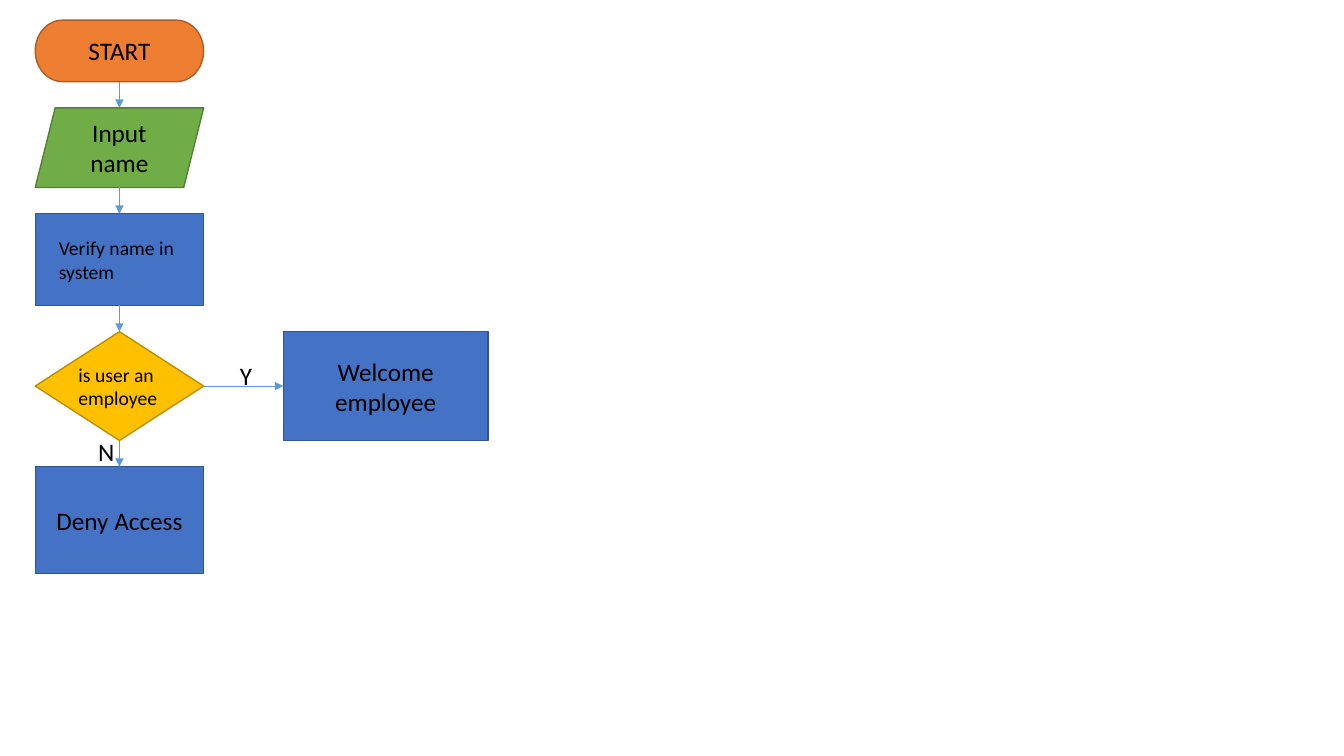
from lxml import etree
from pptx import Presentation
from pptx import util as u
from pptx.dml import color
from pptx.enum import shapes, text
from pptx.oxml import ns

COLORS = {
    "start": "ED7D31", "start_line": "AF5C24",
    "input": "70AD47", "input_line": "538035",
    "process": "4472C4", "process_line": "325491",
    "decision": "FFC000", "decision_line": "BD8E00",
    "arrow": "5B9BD5", "text": "000000",
}
KINDS = {
    "start": shapes.MSO_SHAPE.FLOWCHART_TERMINATOR,
    "input": shapes.MSO_SHAPE.PARALLELOGRAM,
    "process": shapes.MSO_SHAPE.RECTANGLE,
    "decision": shapes.MSO_SHAPE.DIAMOND,
}
LEFT, CENTER = text.PP_ALIGN.LEFT, text.PP_ALIGN.CENTER


class Flowchart:
    """Draws flowchart elements on one slide in a shared style."""

    def __init__(self, s):
        self.s = s
        self.font = {"name": "Calibri", "size": u.Pt(18)}
        self.frame = {"word_wrap": True, "vertical_anchor": text.MSO_ANCHOR.MIDDLE}

    def rgb(self, name):
        return color.RGBColor.from_string(COLORS[name])

    def node(self, kind, x, y, w, h):
        sp = self.s.shapes.add_shape(KINDS[kind], *map(u.Inches, (x, y, w, h)))
        sp.shadow.inherit = False
        sp.fill.solid()
        sp.fill.fore_color.rgb = self.rgb(kind)
        sp.line.color.rgb = self.rgb(kind + "_line")
        sp.line.width = u.Pt(1)

    def label(self, words, cx, cy, w, h, align=CENTER, size=18):
        box = (cx - w / 2, cy - h / 2, w, h)
        tf = self.s.shapes.add_textbox(*map(u.Inches, box)).text_frame
        for key, value in self.frame.items():
            setattr(tf, key, value)
        p = tf.paragraphs[0]
        p.alignment = align
        r = p.add_run()
        r.text = words
        for key, value in {**self.font, "size": u.Pt(size)}.items():
            setattr(r.font, key, value)
        r.font.color.rgb = self.rgb("text")

    def arrow(self, *ends):
        c = self.s.shapes.add_connector(
            shapes.MSO_CONNECTOR.STRAIGHT, *map(u.Inches, ends))
        c.line.color.rgb = self.rgb("arrow")
        c.line.width = u.Pt(0.5)
        etree.SubElement(c.line._get_or_add_ln(), ns.qn("a:tailEnd"), type="triangle")
        etree.SubElement(c._element.spPr, ns.qn("a:effectLst"))


prs = Presentation()
prs.slide_width, prs.slide_height = u.Inches(13.33), u.Inches(7.5)
chart = Flowchart(prs.slides.add_slide(prs.slide_layouts[6]))

left, top, width, gap = 0.35, 0.2, 1.67, 0.26
middle, right = left + width / 2, left + width
steps = [
    ("start", 0.61, "START", 1.4, 0.4, CENTER, 18),
    ("input", 0.79, "Input name", 1.21, 0.71, CENTER, 18),
    ("process", 0.91, "Verify name in system", 1.4, 0.57, LEFT, 14),
    ("decision", 1.08, "is user an employee", 1.01, 0.57, LEFT, 14),
    ("process", 1.06, "Deny Access", width, 0.4, CENTER, 18),
]
y = top
for kind, height, words, text_w, text_h, align, size in steps:
    if y > top:
        chart.arrow(middle, y - gap, middle, y)
    chart.node(kind, left, y, width, height)
    chart.label(words, middle, y + height / 2, text_w, text_h, align, size)
    if kind == "decision":
        branch_y, branch_h = y, height
    y += height + gap

welcome_x, welcome_w = 2.81, 2.03
branch_mid = branch_y + branch_h / 2
chart.node("process", welcome_x, branch_y, welcome_w, branch_h)
chart.label("Welcome employee", welcome_x + welcome_w / 2, branch_mid, 1.68, 0.71)
chart.arrow(right, branch_mid, welcome_x, branch_mid)
chart.label("Y", 2.48, 3.72, 0.4, 0.4, LEFT)
chart.label("N", 1.18, 4.48, 0.61, 0.4, LEFT)

prs.save("out.pptx")
